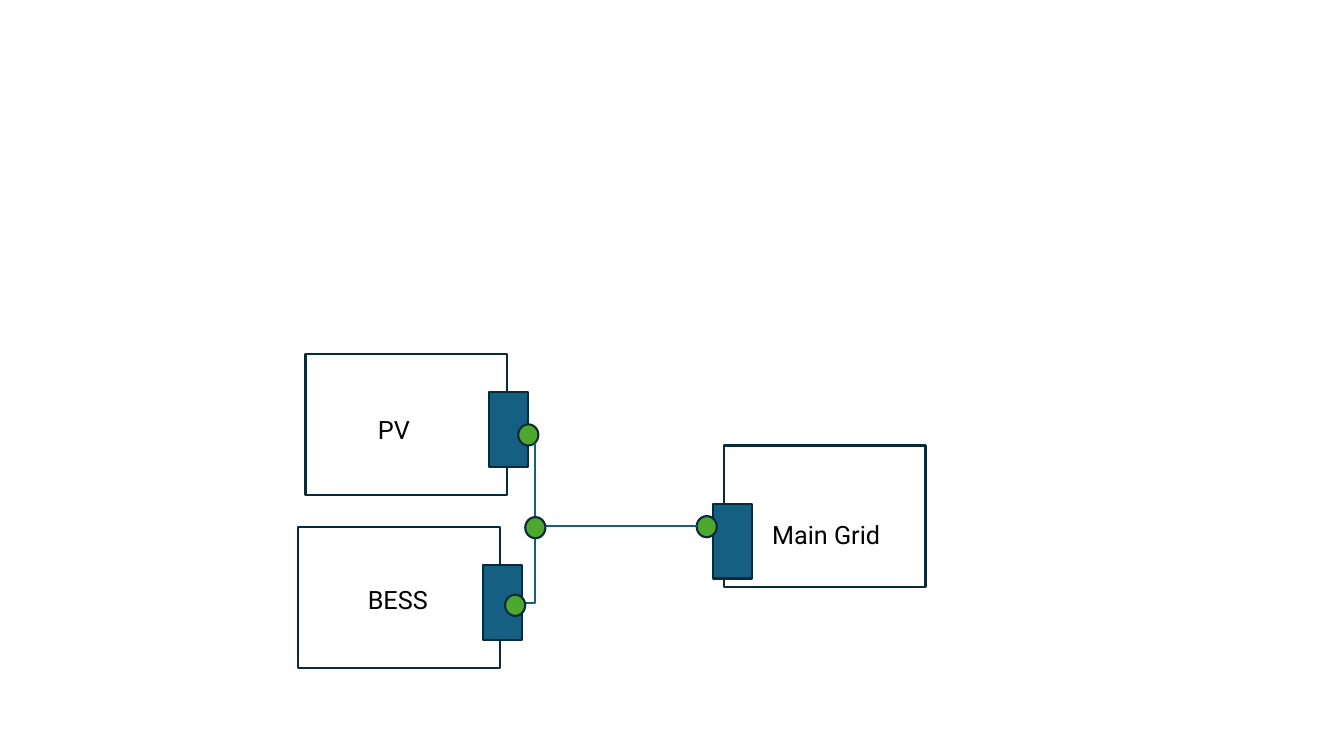
import pptx
import pptx.dml.color
import pptx.enum.shapes
import pptx.enum.text
import pptx.oxml
import pptx.oxml.ns
import pptx.util

Inches = pptx.util.Inches
Pt = pptx.util.Pt
SHAPES = pptx.enum.shapes.MSO_SHAPE
CONNECTORS = pptx.enum.shapes.MSO_CONNECTOR

COLORS = {
    "outline": "092A39",
    "converter": "156082",
    "terminal": "4EA72E",
    "white": "FFFFFF",
    "text": "000000",
}
LABEL_FONT = {"name": "Roboto", "size": Pt(18)}
LABEL_FRAME = {
    "word_wrap": True,
    "auto_size": pptx.enum.text.MSO_AUTO_SIZE.SHAPE_TO_FIT_TEXT,
}
LINE_WIDTH = Pt(1.5)
UNIT_SIZE = (2, 1.4)
CONVERTER_SIZE = (0.39, 0.74)
TERMINAL_SIZE = (0.2, 0.21)


def rgb(name):
    return pptx.dml.color.RGBColor.from_string(COLORS[name])


def set_all(target, values):
    for name, value in values.items():
        setattr(target, name, value)


def add_outlined(slide, kind, position, size, fill=None):
    part = slide.shapes.add_shape(kind, *map(Inches, position + size))
    part.shadow.inherit = False
    if fill:
        part.fill.solid()
        part.fill.fore_color.rgb = rgb(fill)
    else:
        part.fill.background()
    part.line.color.rgb = rgb("outline")
    part.line.width = LINE_WIDTH


def add_label(slide, wording, position, width):
    label = slide.shapes.add_textbox(*map(Inches, position + (width, 0.4)))
    set_all(label.text_frame, LABEL_FRAME)
    run = label.text_frame.paragraphs[0].add_run()
    run.text = wording
    set_all(run.font, LABEL_FONT)
    run.font.color.rgb = rgb("text")


def add_unit(slide, position, converter, wording, label_position, label_width, fill=None):
    """Draw a power unit: its box, the converter on its edge and its label."""
    add_outlined(slide, SHAPES.RECTANGLE, position, UNIT_SIZE, fill)
    add_outlined(slide, SHAPES.RECTANGLE, converter, CONVERTER_SIZE, "converter")
    add_label(slide, wording, label_position, label_width)


def add_terminal(slide, position):
    add_outlined(slide, SHAPES.FLOWCHART_CONNECTOR, position, TERMINAL_SIZE, "terminal")


def add_wire(slide, kind, start, end):
    wire = slide.shapes.add_connector(kind, *map(Inches, start + end))
    wire.line.color.rgb = rgb("converter")
    wire.line.width = LINE_WIDTH
    properties = wire._element.spPr
    properties.append(pptx.oxml.parse_xml(
        f"<a:effectLst {pptx.oxml.ns.nsdecls('a')}/>"))
    return properties


def add_corner_wire(slide, start, end):
    """Draw a wire that runs down from start, then turns left to end."""
    center_x, center_y = (start[0] + end[0]) / 2, (start[1] + end[1]) / 2
    half_drop, half_run = (end[1] - start[1]) / 2, (start[0] - end[0]) / 2
    properties = add_wire(slide, CONNECTORS.ELBOW,
                          (center_x - half_drop, center_y - half_run),
                          (center_x + half_drop, center_y + half_run))
    properties.find(pptx.oxml.ns.qn("a:xfrm")).set("rot", "5400000")
    properties.find(pptx.oxml.ns.qn("a:prstGeom")).set("prst", "bentConnector2")


def main():
    presentation = pptx.Presentation()
    presentation.slide_width = Inches(13.33)
    presentation.slide_height = Inches(7.5)
    slide = presentation.slides.add_slide(presentation.slide_layouts[6])

    add_unit(slide, (3.03, 3.51), (4.85, 3.89), "PV", (3.65, 4.06), 1.21)
    add_unit(slide, (7.18, 4.42), (7.07, 5), "Main Grid", (7.56, 5.1), 1.59, "white")
    add_unit(slide, (2.96, 5.23), (4.79, 5.61), "BESS", (3.55, 5.75), 1.4)

    for position in ((5.14, 4.21), (6.91, 5.12)):
        add_terminal(slide, position)
    add_wire(slide, CONNECTORS.STRAIGHT, (5.3, 5.22), (6.91, 5.22))
    add_corner_wire(slide, (5.31, 4.39), (5.17, 5.98))
    for position in ((5.01, 5.9), (5.21, 5.13)):
        add_terminal(slide, position)

    presentation.save("out.pptx")


if __name__ == "__main__":
    main()
